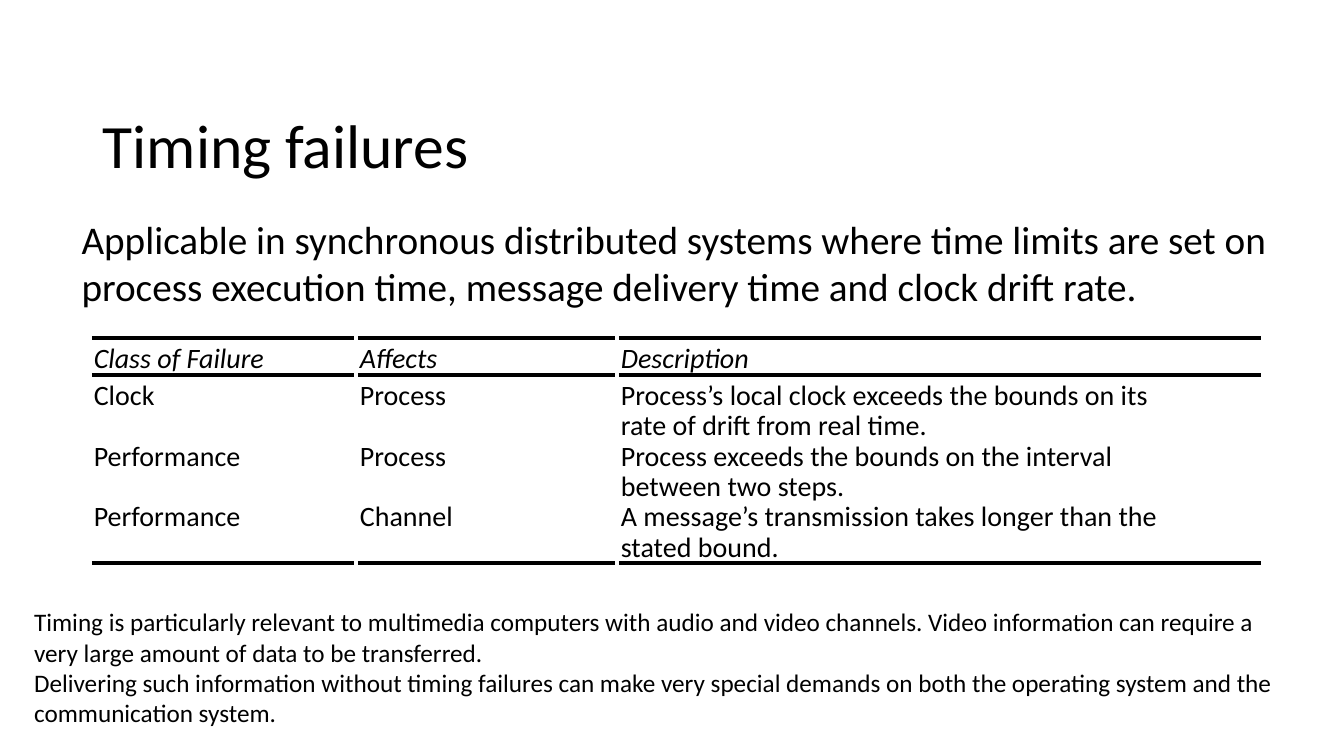
from pptx import Presentation
from pptx.dml.color import RGBColor
from pptx.enum.shapes import MSO_CONNECTOR
from pptx.enum.text import MSO_ANCHOR, MSO_AUTO_SIZE, PP_ALIGN
from pptx.oxml.ns import qn
from pptx.util import Inches, Pt

STRAIGHT = MSO_CONNECTOR.STRAIGHT
TOP, BOTTOM = MSO_ANCHOR.TOP, MSO_ANCHOR.BOTTOM
NO_FIT = MSO_AUTO_SIZE.NONE
LEFT = PP_ALIGN.LEFT

COLORS = {"text": "000000", "rule": "000000"}
FONT = "Calibri"

# Failure table, in percent of the slide's width and height
EDGES = [6.68, 26.48, 45.9, 94]
RULES = [44.67, 49.6, 74.53]
HEADER_HEIGHT, ROW_HEIGHT = 6, 8
RULE_GAP = 0.15
ROWS = [
    ["Class of Failure", "Affects", "Description"],
    ["Clock", "Process",
     "Process’s local clock exceeds the bounds on its\vrate of drift from real time."],
    ["Performance", "Process",
     "Process exceeds the bounds on the interval\vbetween two steps."],
    ["Performance", "Channel",
     "A message’s transmission takes longer than the\vstated bound."],
]


class Deck:
    def __init__(self):
        self.prs = Presentation()
        self.prs.slide_width, self.prs.slide_height = Inches(13.333), Inches(7.5)
        self.s = self.prs.slides.add_slide(self.prs.slide_layouts[5])

    def x(self, percent):
        return round(self.prs.slide_width * percent / 100)

    def y(self, percent):
        return round(self.prs.slide_height * percent / 100)

    def box(self, left, top, width, height):
        return self.x(left), self.y(top), self.x(width), self.y(height)

    def fill_text(self, tf, text, size, spacing=None, italic=False):
        tf.text = text
        style = {"name": FONT, "size": Pt(size), "bold": False, "italic": italic}
        for p in tf.paragraphs:
            p.alignment = LEFT
            p.line_spacing = spacing
            for r in p.runs:
                for name, value in style.items():
                    setattr(r.font, name, value)
                r.font.color.rgb = RGBColor.from_string(COLORS["text"])

    def title(self, text, *place):
        sp = self.s.shapes.title
        sp.left, sp.top, sp.width, sp.height = self.box(*place)
        tf = sp.text_frame
        tf.auto_size, tf.vertical_anchor = NO_FIT, BOTTOM
        self.fill_text(tf, text, 44, spacing=0.9)

    def text(self, text, size, *place):
        tf = self.s.shapes.add_textbox(*self.box(*place)).text_frame
        tf.word_wrap = True
        self.fill_text(tf, text, size)

    def table(self, rows, edges, top):
        heights = [HEADER_HEIGHT] + [ROW_HEIGHT] * (len(rows) - 1)
        place = self.box(edges[0], top, edges[-1] - edges[0], sum(heights))
        table = self.s.shapes.add_table(len(rows), len(rows[0]), *place).table
        table.first_row = table.horz_banding = False
        for column, start, end in zip(table.columns, edges, edges[1:]):
            column.width = self.x(end - start)
        for i, (row, height) in enumerate(zip(rows, heights)):
            header = i == 0
            table.rows[i].height = self.y(height)
            cell_format = {
                "margin_left": self.x(0.3), "margin_right": 0,
                "margin_top": self.y(0.53) if header else 0,
                "margin_bottom": 0, "vertical_anchor": TOP,
            }
            for cell, text in zip(table.rows[i].cells, row):
                cell.fill.background()
                for name, value in cell_format.items():
                    setattr(cell, name, value)
                self.fill_text(cell.text_frame, text, 20,
                               spacing=None if header else Pt(21.6), italic=header)

    def rule(self, start, end, top):
        line = self.s.shapes.add_connector(
            STRAIGHT, self.x(start), self.y(top), self.x(end), self.y(top))
        line.line.color.rgb = RGBColor.from_string(COLORS["rule"])
        line.line.width = Pt(2.88)
        sp_pr = line._element.spPr
        sp_pr.append(sp_pr.makeelement(qn("a:effectLst"), {}))


def main():
    deck = Deck()

    # Heading and introduction
    deck.title("Timing failures", 6.9, 5.33, 86.25, 19.33)
    deck.text("Applicable in synchronous distributed systems where time limits are set on "
              "process execution time, message delivery time and clock drift rate.",
              28, 5.33, 27.87, 90.75, 13.87)

    # Failure table with its broken horizontal rules
    deck.table(ROWS, EDGES, RULES[0])
    for top in RULES:
        for start, end in zip(EDGES, EDGES[1:]):
            deck.rule(start + RULE_GAP, end - RULE_GAP, top)

    # Closing remarks
    deck.text("Timing is particularly relevant to multimedia computers with audio and video "
              "channels. Video information can require a very large amount of data to be "
              "transferred.\n"
              "Delivering such information without timing failures can make very special "
              "demands on both the operating system and the communication system.",
              18, 1.8, 79.6, 95.5, 17.47)

    deck.prs.save("out.pptx")


if __name__ == "__main__":
    main()
